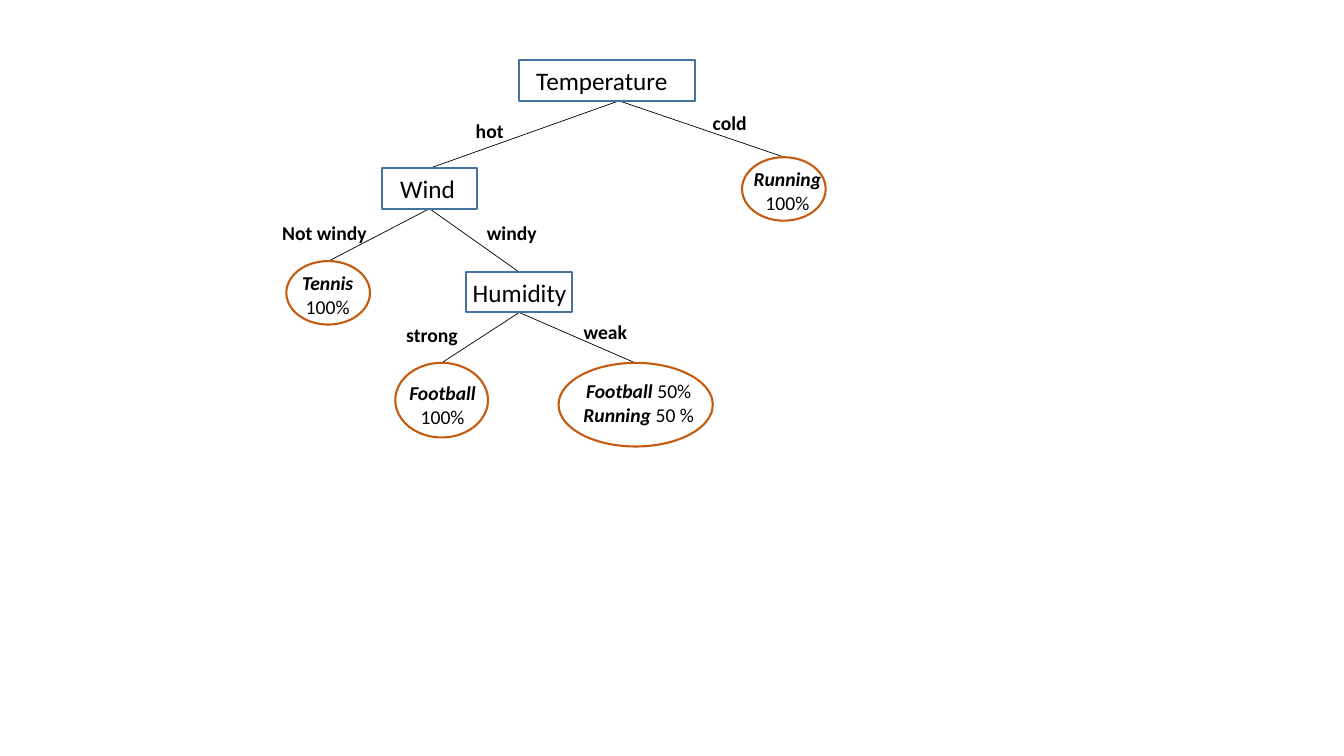
from pptx import Presentation
from pptx.dml.color import RGBColor
from pptx.enum.shapes import MSO_CONNECTOR, MSO_SHAPE
from pptx.enum.text import MSO_AUTO_SIZE, PP_ALIGN
from pptx.oxml.ns import qn
from pptx.util import Inches, Pt

BLACK, BLUE, RUST = "000000", "43739E", "C55A11"

# Tests: name, box left and width, top, text left and width
TESTS = [
    ("Temperature", 5.15, 1.74, 0.6, 5.22, 1.85),
    ("Wind", 3.79, 0.94, 1.67, 3.87, 1.09),
    ("Humidity", 4.62, 1.05, 2.7, 4.59, 1.65),
]
# Leaves: oval box, text left, top and width, lines of (text, is name) runs
FULL = [("100%", False)]
LEAVES = [
    ((7.36, 1.56, 0.83, 0.63), (7.26, 1.61, 1.1), [[("Running", True)], FULL]),
    ((2.84, 2.59, 0.83, 0.63), (2.7, 2.64, 1.1), [[("Tennis", True)], FULL]),
    ((3.92, 3.6, 0.92, 0.74), (3.84, 3.73, 1.1), [[("Football", True)], FULL]),
    ((5.54, 3.6, 1.53, 0.83), (5.51, 3.71, 1.65),
     [[("Football ", True), ("50%", False)],
      [("Running", True), (" 50 %", False)]]),
]
# Branches: label, its left and top, start, end
ROOT, WIND, HUMID = (6.14, 1), (4.26, 2.07), (5.15, 3.1)
BRANCHES = [
    ("hot", 4.62, 1.13, ROOT, (4.26, 1.67)),
    ("cold", 6.97, 1.05, ROOT, (7.78, 1.56)),
    ("Not windy", 2.7, 2.14, WIND, (3.26, 2.59)),
    ("windy", 4.73, 2.14, WIND, (5.15, 2.7)),
    ("strong", 3.93, 3.15, HUMID, (4.38, 3.6)),
    ("weak", 5.69, 3.12, HUMID, (6.3, 3.6)),
]


def paint(line, color, width):
    line.color.rgb = RGBColor.from_string(color)
    line.width = Pt(width)


def write(slide, box, lines, size=14, bold=False, align=PP_ALIGN.LEFT):
    """Add a text box; runs marked as names are bold italic."""
    frame = slide.shapes.add_textbox(*map(Inches, box)).text_frame
    frame.word_wrap = True
    frame.auto_size = MSO_AUTO_SIZE.SHAPE_TO_FIT_TEXT
    for i, runs in enumerate(lines):
        para = frame.add_paragraph() if i else frame.paragraphs[0]
        para.alignment = align
        for text, named in runs:
            run = para.add_run()
            run.text = text
            font = run.font
            font.name, font.size = "Calibri", Pt(size)
            font.bold, font.italic = bold or named, named
            font.color.rgb = RGBColor.from_string(BLACK)


def outline(slide, kind, box, color):
    shape = slide.shapes.add_shape(kind, *map(Inches, box))
    shape.shadow.inherit = False
    shape.fill.background()
    paint(shape.line, color, 1.5)


def test(slide, name, left, width, top, text_left, text_width):
    outline(slide, MSO_SHAPE.RECTANGLE, (left, top, width, 0.4), BLUE)
    write(slide, (text_left, top, text_width, 0.4), [[(name, False)]], size=18)


def leaf(slide, box, place, lines):
    outline(slide, MSO_SHAPE.OVAL, box, RUST)
    write(slide, (*place, 0.57), lines, align=PP_ALIGN.CENTER)


def branch(slide, label, left, top, start, end):
    line = slide.shapes.add_connector(
        MSO_CONNECTOR.STRAIGHT, *map(Inches, start + end))
    paint(line.line, BLACK, 0.5)
    props = line._element.spPr
    props.append(props.makeelement(qn("a:effectLst"), {}))
    write(slide, (left, top, 1.22, 0.34), [[(label, False)]], bold=True)


def main():
    deck = Presentation()
    deck.slide_width, deck.slide_height = Inches(13.33), Inches(7.5)
    slide = deck.slides.add_slide(deck.slide_layouts[6])
    for draw, items in ((branch, BRANCHES), (test, TESTS), (leaf, LEAVES)):
        for item in items:
            draw(slide, *item)
    deck.save("out.pptx")


main()
